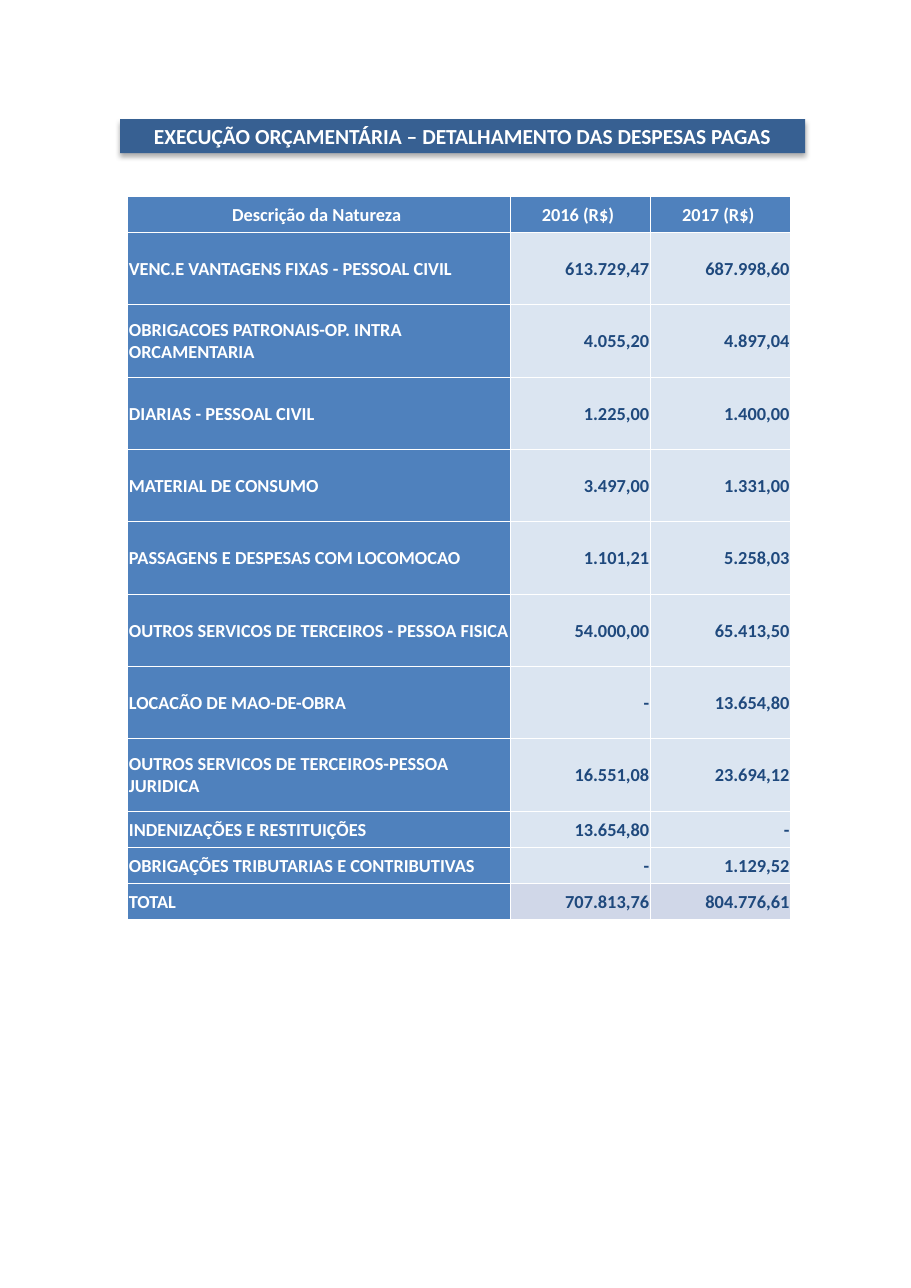
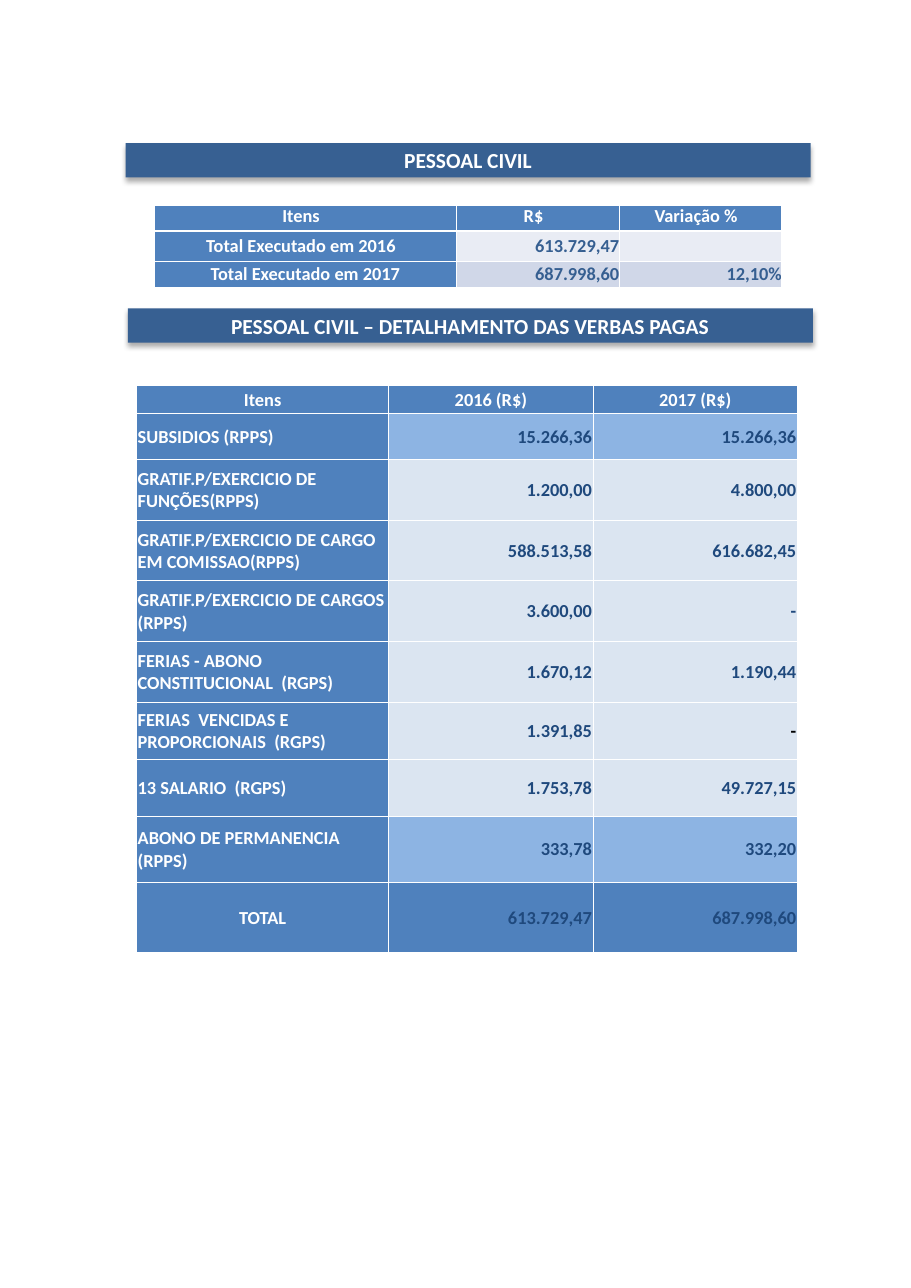
import lxml.etree
import pptx
import pptx.dml.color
import pptx.enum.shapes
import pptx.enum.text
import pptx.oxml
import pptx.oxml.ns
import pptx.util

COLORS = {
    "band": "376092", "head": "4F81BD", "light": "DBE5F1", "accent": "8DB4E3",
    "pale": "E9ECF4", "total": "D0D7E8", "white": "FFFFFF", "navy": "1F497D",
    "steel": "365F91", "black": "000000",
}
ALIGN = pptx.enum.text.PP_ALIGN
ANCHOR = pptx.enum.text.MSO_ANCHOR
BAND_FONT = {"name": "Calibri", "size": pptx.util.Pt(14), "bold": True}
CELL_FONT = {"name": "Calibri", "size": pptx.util.Pt(12), "bold": True}

presentation = pptx.Presentation()
presentation.slide_width = pptx.util.Inches(8.27)
presentation.slide_height = pptx.util.Inches(11.69)
COLUMN = presentation.slide_width / 100
ROW = presentation.slide_height / 100
BAND_WIDTH, BAND_HEIGHT = 75.2, 2.65
UNIT = 2.81

expenses = {
    "at": (14.03, 15.23), "columns": (41.96, 15.4, 15.4),
    "ink": "navy", "ink_overrides": {}, "centered_rows": {0},
    "shifted_rows": 1, "shift": 0.04, "margin": 0.01,
    "header_anchor": ANCHOR.MIDDLE, "border": 0.5, "header_border": 0.5,
    "rows": [
        (UNIT, "head", "Descrição da Natureza", "2016 (R$)", "2017 (R$)"),
        (2 * UNIT, "light", "VENC.E VANTAGENS FIXAS - PESSOAL CIVIL", "613.729,47", "687.998,60"),
        (2 * UNIT, "light", "OBRIGACOES PATRONAIS-OP. INTRA ORCAMENTARIA", "4.055,20", "4.897,04"),
        (2 * UNIT, "light", "DIARIAS - PESSOAL CIVIL", "1.225,00", "1.400,00"),
        (2 * UNIT, "light", "MATERIAL DE CONSUMO", "3.497,00", "1.331,00"),
        (2 * UNIT, "light", "PASSAGENS E DESPESAS COM LOCOMOCAO", "1.101,21", "5.258,03"),
        (2 * UNIT, "light", "OUTROS SERVICOS DE TERCEIROS - PESSOA FISICA", "54.000,00", "65.413,50"),
        (2 * UNIT, "light", "LOCACÃO DE MAO-DE-OBRA", "-", "13.654,80"),
        (2 * UNIT, "light", "OUTROS SERVICOS DE TERCEIROS-PESSOA JURIDICA", "16.551,08", "23.694,12"),
        (UNIT, "light", "INDENIZAÇÕES E RESTITUIÇÕES", "13.654,80", "-"),
        (UNIT, "light", "OBRIGAÇÕES TRIBUTARIAS E CONTRIBUTIVAS", "-", "1.129,52"),
        (UNIT, "total", "TOTAL", "707.813,76", "804.776,61"),
    ],
}
payments = {
    "at": (14.99, 29.94), "columns": (27.69, 22.43, 22.43),
    "ink": "navy", "ink_overrides": {(6, 2): "black"}, "centered_rows": {0, 9},
    "shifted_rows": 0, "shift": 0, "margin": 0.01,
    "header_anchor": ANCHOR.MIDDLE, "border": 0.5, "header_border": 0.5,
    "rows": [
        (2.18, "head", "Itens", "2016 (R$)", "2017 (R$)"),
        (3.56, "accent", "SUBSIDIOS (RPPS)", "15.266,36", "15.266,36"),
        (4.71, "light", "GRATIF.P/EXERCICIO DE FUNÇÕES(RPPS)", "1.200,00", "4.800,00"),
        (4.71, "light", "GRATIF.P/EXERCICIO DE CARGO EM COMISSAO(RPPS)", "588.513,58", "616.682,45"),
        (4.71, "light", "GRATIF.P/EXERCICIO DE CARGOS (RPPS)", "3.600,00", "-"),
        (4.71, "light", "FERIAS - ABONO CONSTITUCIONAL  (RGPS)", "1.670,12", "1.190,44"),
        (4.43, "light", "FERIAS  VENCIDAS E PROPORCIONAIS  (RGPS)", "1.391,85", "-"),
        (4.43, "light", "13 SALARIO  (RGPS)", "1.753,78", "49.727,15"),
        (5.12, "accent", "ABONO DE PERMANENCIA (RPPS)", "333,78", "332,20"),
        (5.45, "head", "TOTAL", "613.729,47", "687.998,60"),
    ],
}
summary = {
    "at": (16.93, 15.91), "columns": (33.2, 17.85, 17.85),
    "ink": "steel", "ink_overrides": {}, "centered_rows": {0, 1, 2},
    "shifted_rows": 2, "shift": 0.08, "margin": 0,
    "header_anchor": ANCHOR.TOP, "border": 1, "header_border": 1.5,
    "rows": [
        (2, "head", "Itens", "R$", "Variação %"),
        (2.05, "pale", "Total Executado em 2016", "613.729,47", ""),
        (2, "total", "Total Executado em 2017", "687.998,60", "12,10%"),
    ],
}
PAGES = [
    {"bands": [(13.18, 9.24, "EXECUÇÃO ORÇAMENTÁRIA – DETALHAMENTO DAS DESPESAS PAGAS")],
     "tables": [expenses]},
    {"bands": [(13.78, 11.12, "PESSOAL CIVIL"),
               (14.03, 23.95, "PESSOAL CIVIL – DETALHAMENTO DAS VERBAS PAGAS")],
     "tables": [payments, summary]},
]


def write(text_frame, text, alignment, font_format, color):
    text_frame.word_wrap = True
    paragraph = text_frame.paragraphs[0]
    paragraph.alignment = alignment
    run = paragraph.add_run()
    run.text = text
    for name, value in font_format.items():
        setattr(run.font, name, value)
    run.font.color.rgb = pptx.dml.color.RGBColor.from_string(COLORS[color])


def set_borders(cell, widths):
    properties = cell._tc.get_or_add_tcPr()
    for position, (side, width) in enumerate(widths.items()):
        line = pptx.oxml.parse_xml(
            f'<a:{side} {pptx.oxml.ns.nsdecls("a")} w="{pptx.util.Pt(width)}">'
            f'<a:solidFill><a:srgbClr val="{COLORS["white"]}"/></a:solidFill></a:{side}>')
        properties.insert(position, line)


for page in PAGES:
    slide = presentation.slides.add_slide(presentation.slide_layouts[5])

    for index, (left, top, text) in enumerate(page["bands"]):
        if index == 0:
            shape = slide.shapes.title
        else:
            shape = slide.shapes.add_shape(pptx.enum.shapes.MSO_SHAPE.RECTANGLE, 0, 0, 0, 0)
        box = {"left": left * COLUMN, "top": top * ROW,
               "width": BAND_WIDTH * COLUMN, "height": BAND_HEIGHT * ROW}
        for name, value in box.items():
            setattr(shape, name, round(value))
        shape.fill.solid()
        shape.fill.fore_color.rgb = pptx.dml.color.RGBColor.from_string(COLORS["band"])
        shape.line.fill.background()
        shape.shadow.inherit = False
        effects = shape._element.spPr.find(pptx.oxml.ns.qn("a:effectLst"))
        shadow = lxml.etree.SubElement(
            effects, pptx.oxml.ns.qn("a:outerShdw"), blurRad=str(pptx.util.Pt(3.5)),
            dist=str(pptx.util.Pt(2.2)), dir="5400000", rotWithShape="0")
        tint = lxml.etree.SubElement(shadow, pptx.oxml.ns.qn("a:srgbClr"), val=COLORS["black"])
        lxml.etree.SubElement(tint, pptx.oxml.ns.qn("a:alpha"), val="32000")
        shape.text_frame.auto_size = pptx.enum.text.MSO_AUTO_SIZE.NONE
        shape.text_frame.vertical_anchor = ANCHOR.MIDDLE
        write(shape.text_frame, text, ALIGN.CENTER, BAND_FONT, "white")

    for design in page["tables"]:
        rows, columns = design["rows"], design["columns"]
        left, top = design["at"]
        frame = slide.shapes.add_table(
            len(rows), len(columns), round(left * COLUMN), round(top * ROW),
            round(sum(columns) * COLUMN), round(sum(row[0] for row in rows) * ROW))
        table = frame.table
        table.horz_banding = False
        for table_column, width in zip(table.columns, columns):
            table_column.width = round(width * COLUMN)

        for row_index, (height, value_fill, *texts) in enumerate(rows):
            table.rows[row_index].height = round(height * ROW)
            for column_index, text in enumerate(texts):
                cell = table.cell(row_index, column_index)
                is_header = row_index == 0
                is_label = is_header or column_index == 0
                is_centered = is_label and row_index in design["centered_rows"]
                is_shifted = is_centered and row_index < design["shifted_rows"]
                margin = design["margin"]
                cell_format = {
                    "margin_left": pptx.util.Inches(margin),
                    "margin_top": pptx.util.Inches(margin),
                    "margin_right": pptx.util.Inches(margin + is_shifted * design["shift"]),
                    "margin_bottom": 0,
                    "vertical_anchor": design["header_anchor"] if is_header else ANCHOR.MIDDLE,
                }
                for name, value in cell_format.items():
                    setattr(cell, name, value)
                cell.fill.solid()
                cell.fill.fore_color.rgb = pptx.dml.color.RGBColor.from_string(
                    COLORS["head" if is_label else value_fill])
                alignment = ALIGN.CENTER if is_centered else ALIGN.LEFT if is_label else ALIGN.RIGHT
                ink = design["ink_overrides"].get((row_index, column_index), design["ink"])
                write(cell.text_frame, text, alignment, CELL_FONT, "white" if is_label else ink)
                border, header_border = design["border"], design["header_border"]
                set_borders(cell, {
                    "lnL": border, "lnR": border,
                    "lnT": header_border if row_index == 1 else border,
                    "lnB": header_border if is_header else border})

presentation.save("out.pptx")
